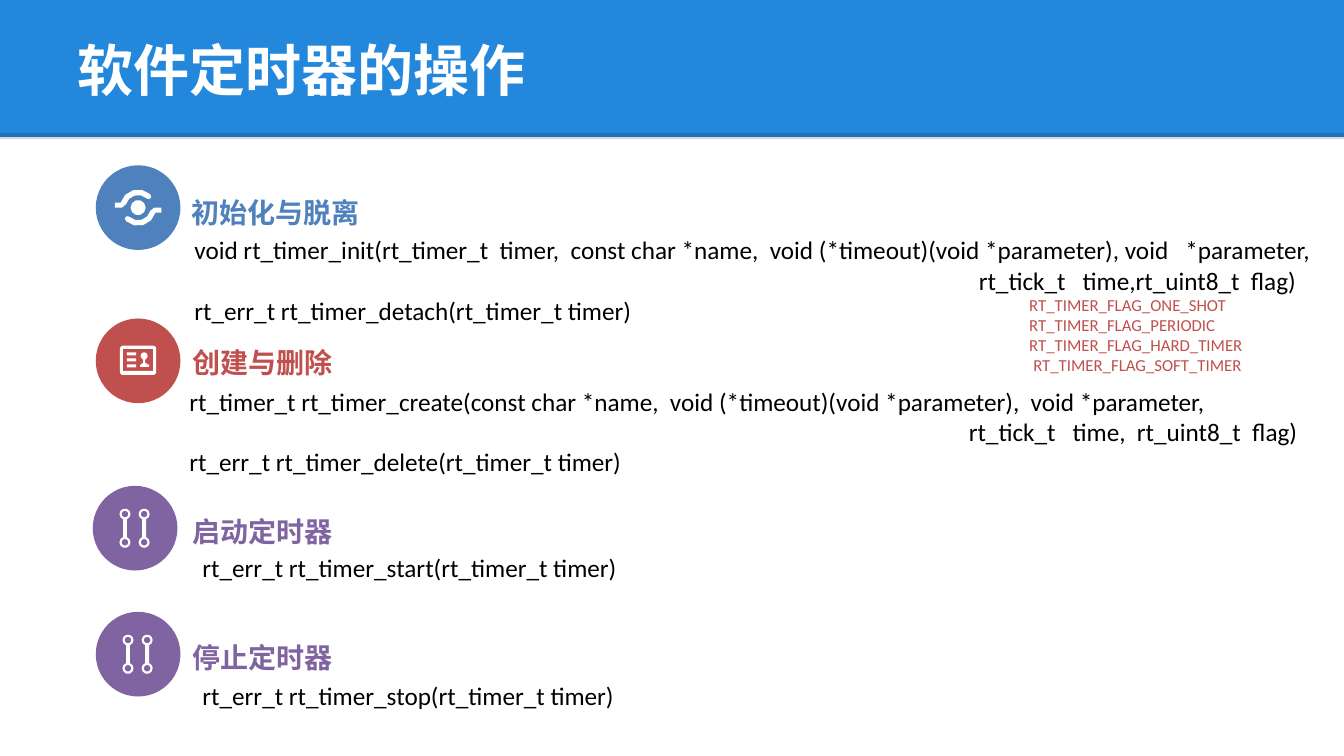
import math
import pptx
import pptx.dml.color
import pptx.enum.shapes
import pptx.enum.text
import pptx.oxml.ns
import pptx.util
from lxml import etree
from pptx.util import Inches

COLORS = {"header": "2388DB", "blue": "4F81BD", "red": "C0504D",
          "purple": "8064A2", "white": "FFFFFF", "black": "000000"}
DISC = 0.84


def add_text(lines, left, top, width, height, size=18, color="black", bold=False,
             font="Calibri", inset=(0.1, 0.05), anchor="TOP", wrap=True, fit="NONE"):
    """Each line is a pair: text and left indent in inches."""
    box = page.shapes.add_textbox(Inches(left), Inches(top), Inches(width), Inches(height))
    frame = box.text_frame
    frame.word_wrap = wrap
    frame.auto_size = pptx.enum.text.MSO_AUTO_SIZE[fit]
    frame.vertical_anchor = pptx.enum.text.MSO_ANCHOR[anchor]
    frame.margin_left = frame.margin_right = Inches(inset[0])
    frame.margin_top = frame.margin_bottom = Inches(inset[1])
    for index, (text, indent) in enumerate(lines):
        para = frame.paragraphs[0] if index == 0 else frame.add_paragraph()
        if indent:
            para._p.get_or_add_pPr().set("marL", str(Inches(indent)))
        span = para.add_run()
        span.text = text
        span.font.name = font
        span.font.size = pptx.util.Pt(size)
        span.font.bold = bold
        span.font.color.rgb = pptx.dml.color.RGBColor.from_string(COLORS[color])


def add_icon(left, top, color, contours):
    """A disc with a white glyph; contours hold points (x, y) and
    arcs (x, y, radius, start, end), measured from the disc's centre."""
    group = page.shapes.add_group_shape()
    disc = group.shapes.add_shape(pptx.enum.shapes.MSO_SHAPE.OVAL, Inches(left), Inches(top),
                                  Inches(DISC), Inches(DISC))
    builder = None
    for contour in contours:
        points = []
        for x, y, *arc in contour:
            if arc:
                radius, start, end = arc
                steps = math.ceil(abs(end - start) / 36)
                angles = [math.radians(start + (end - start) * step / steps)
                          for step in range(steps + 1)]
                points += [(x + radius * math.cos(a), y + radius * math.sin(a)) for a in angles]
            else:
                points.append((x, y))
        points = [(Inches(left + DISC / 2 + x), Inches(top + DISC / 2 + y)) for x, y in points]
        if builder is None:
            builder = group.shapes.build_freeform(*points[0], scale=1.0)
        else:
            builder.move_to(*points[0])
        builder.add_line_segments(points[1:], close=True)
    glyph = builder.convert_to_shape()
    for shape, fill in ((disc, color), (glyph, "white")):
        shape.shadow.inherit = False
        shape.fill.solid()
        shape.fill.fore_color.rgb = pptx.dml.color.RGBColor.from_string(COLORS[fill])
        shape.line.fill.background()


deck = pptx.Presentation()
deck.slide_width, deck.slide_height = Inches(13.33), Inches(7.5)
page = deck.slides.add_slide(deck.slide_layouts[6])

# Header band with its translucent lower edge
band = page.shapes.add_shape(pptx.enum.shapes.MSO_SHAPE.RECTANGLE, 0, 0,
                             deck.slide_width, Inches(1.36))
band.shadow.inherit = False
band.fill.solid()
band.fill.fore_color.rgb = pptx.dml.color.RGBColor.from_string(COLORS["header"])
band.line.fill.background()
edge = page.shapes.add_connector(pptx.enum.shapes.MSO_CONNECTOR.STRAIGHT, 0, Inches(1.35),
                                 deck.slide_width, Inches(1.35))
edge.line.width = pptx.util.Pt(4.5)
edge.line.color.rgb = pptx.dml.color.RGBColor.from_string(COLORS["black"])
qn = pptx.oxml.ns.qn
edge_color = edge._element.spPr.find(".//" + qn("a:srgbClr"))
etree.SubElement(edge_color, qn("a:alpha")).set("val", "15000")
etree.SubElement(edge._element.spPr, qn("a:effectLst"))
add_text([("软件定时器的操作", 0)], 0.67, 0.06, 12, 1.25, size=40, color="white",
         bold=True, font="Arial", anchor="MIDDLE")

# Glyph outlines
swirl = [[(0, 0, 0.075, 0, 360)]]
for sign in (1, -1):
    swirl.append([(-0.23 * sign, -0.05 * sign), (-0.23 * sign, 0), (-0.16 * sign, 0),
                  (0, 0, 0.125 * sign, 195, 312),
                  (0.105 * sign, -0.11 * sign, 0.025 * sign, 120, -60),
                  (0, 0, 0.18 * sign, 312, 196)])

card = [[(-0.15, -0.12, 0.03, 180, 270), (0.15, -0.12, 0.03, 270, 360),
         (0.15, 0.11, 0.03, 0, 90), (-0.15, 0.11, 0.03, 90, 180)],
        [(-0.15, -0.12), (-0.15, 0.1), (0.15, 0.1), (0.15, -0.12)]]
for y in (-0.07, -0.01, 0.05):
    card.append([(-0.11, y - 0.015), (-0.02, y - 0.015), (-0.02, y + 0.015), (-0.11, y + 0.015)])
card.append([(0.02, 0.06), (0.02, 0.04), (0.05, 0.02), (0.05, -0.01),
             (0.06, -0.05, 0.035, 130, 410),
             (0.07, -0.01), (0.07, 0.02), (0.11, 0.04), (0.11, 0.06)])

rods = []
for x in (-0.1, 0.09):
    rods.append([(x, -0.14, 0.055, 110, 430), (x, 0.14, 0.055, -70, 250)])
    rods += [[(x, y, 0.033, 360, 0)] for y in (-0.14, 0.14)]

# Sections: icon, heading, code
sections = [
    ("初始化与脱离", "blue", swirl, (0.95, 1.64), (1.78, 1.88), (1.83, 2.28, 11.53, 1.01), [
        ("void rt_timer_init(rt_timer_t  timer,  const char *name,  "
         "void (*timeout)(void *parameter), void   *parameter,", 0),
        ("rt_tick_t   time,rt_uint8_t  flag)", 7.78),
        ("rt_err_t rt_timer_detach(rt_timer_t timer)", 0)]),
    ("创建与删除", "red", card, (0.95, 3.16), (1.79, 3.37), (1.78, 3.78, 11.61, 1.01), [
        ("rt_timer_t rt_timer_create(const char *name,  "
         "void (*timeout)(void *parameter),  void *parameter,", 0),
        ("rt_tick_t   time,  rt_uint8_t  flag)", 7.73),
        ("rt_err_t rt_timer_delete(rt_timer_t timer)", 0)]),
    ("启动定时器", "purple", rods, (0.92, 4.82), (1.79, 5.04), (1.91, 5.43, 10.13, 0.71), [
        ("rt_err_t rt_timer_start(rt_timer_t timer)", 0)]),
    ("停止定时器", "purple", rods, (0.95, 6.07), (1.79, 6.29), (1.91, 6.7, 10.13, 0.4), [
        ("rt_err_t rt_timer_stop(rt_timer_t timer)", 0)]),
]
for heading, color, glyph_outline, icon_at, heading_at, code_at, code in sections:
    add_icon(*icon_at, color, glyph_outline)
    add_text([(heading, 0)], *heading_at, 3.68, 0.41, size=20, color=color, bold=True,
             inset=(0.12, 0.06), wrap=False)
    add_text(code, *code_at, fit="SHAPE_TO_FIT_TEXT")

# Values of the flag parameter
add_text([("RT_TIMER_FLAG_ONE_SHOT", 0), ("RT_TIMER_FLAG_PERIODIC", 0),
          ("RT_TIMER_FLAG_HARD_TIMER", 0), ("RT_TIMER_FLAG_SOFT_TIMER", 0.04)],
         10.11, 2.87, 3.67, 0.91, size=12, color="red", fit="SHAPE_TO_FIT_TEXT")

deck.save("out.pptx")
